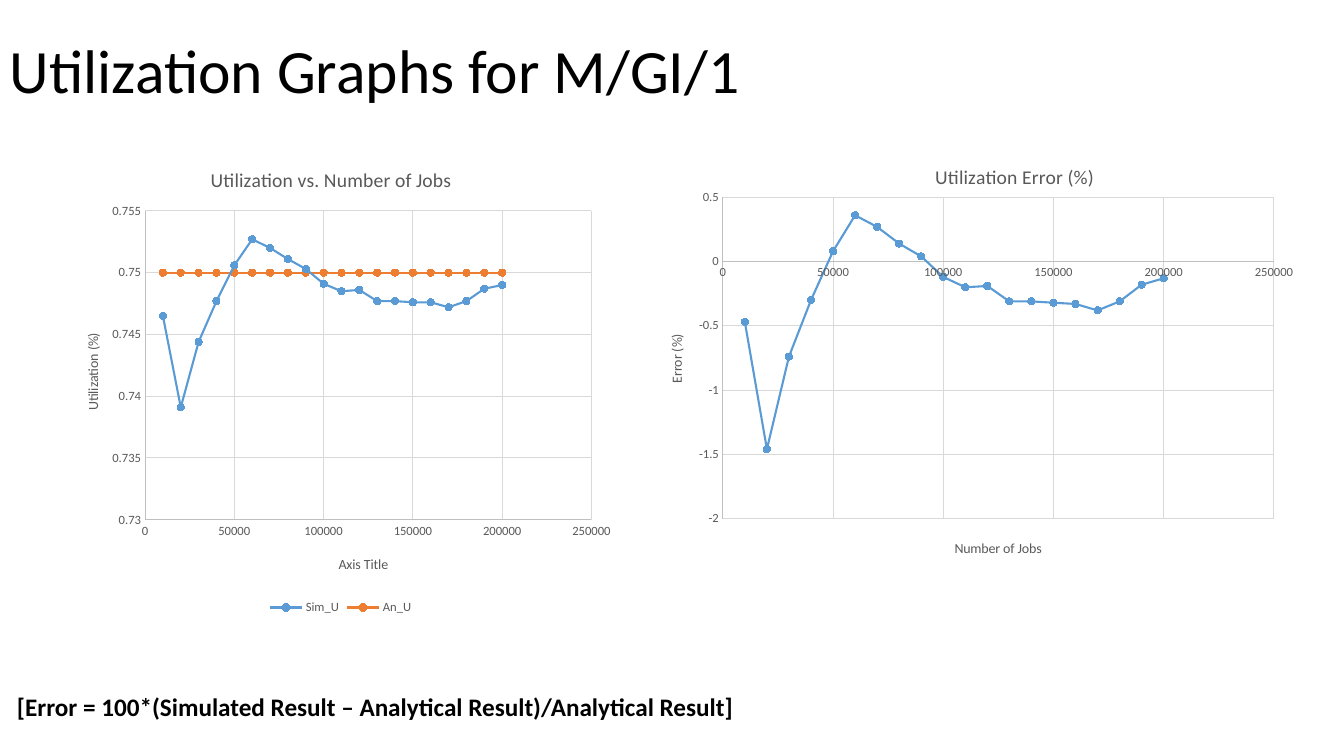
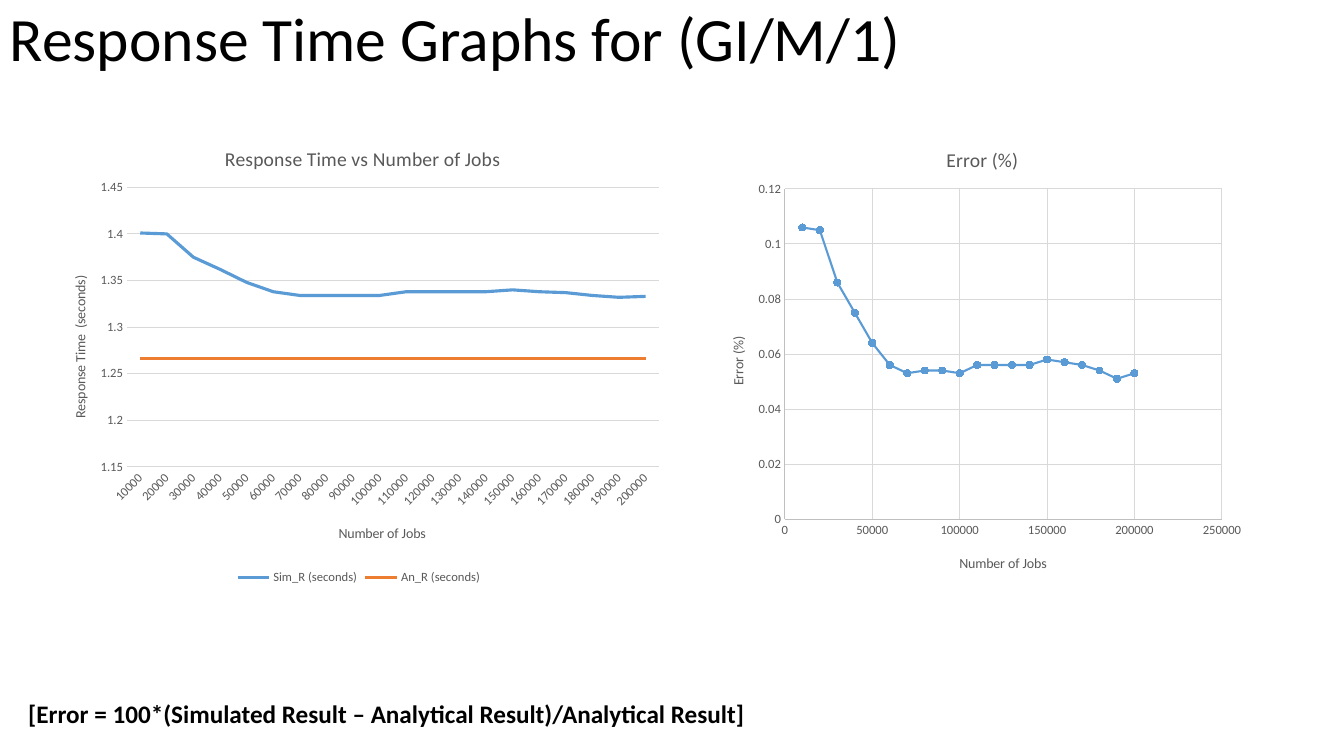
"""Build two slides of simulation charts with python-pptx."""
from dataclasses import dataclass

from lxml import etree
from pptx import Presentation
from pptx.chart.data import CategoryChartData, XyChartData
from pptx.dml.color import RGBColor
from pptx.enum.chart import XL_CHART_TYPE, XL_LEGEND_POSITION, XL_MARKER_STYLE, XL_TICK_MARK
from pptx.enum.text import MSO_ANCHOR, MSO_AUTO_SIZE
from pptx.oxml.ns import qn
from pptx.util import Pt

SCATTER = XL_CHART_TYPE.XY_SCATTER_LINES
LINE = XL_CHART_TYPE.LINE
BOTTOM = XL_LEGEND_POSITION.BOTTOM
CIRCLE = XL_MARKER_STYLE.CIRCLE
NO_TICK = XL_TICK_MARK.NONE
MIDDLE = MSO_ANCHOR.MIDDLE
GROW = MSO_AUTO_SIZE.SHAPE_TO_FIT_TEXT


@dataclass(frozen=True)
class Theme:
    """Colours, font and type sizes shared by the slides."""
    font: str = "Calibri"
    text: str = "000000"
    muted: str = "595959"
    axis: str = "BFBFBF"
    grid: str = "D9D9D9"
    series: tuple = ("5B9BD5", "ED7D31")
    title_size: int = 44
    note_size: int = 18
    chart_title_size: int = 14
    axis_title_size: int = 10
    label_size: int = 9
    hairline: float = 0.75


THEME = Theme()
ERROR_NOTE = "[Error = 100*(Simulated Result – Analytical Result)/Analytical Result]"
JOBS = range(10000, 200001, 10000)
JOB_SCALE = (0, 250000, 50000)

SIMULATED_UTILIZATION = (
    0.7465, 0.7391, 0.7444, 0.7477, 0.7506, 0.7527, 0.752, 0.7511, 0.7503, 0.7491,
    0.7485, 0.7486, 0.7477, 0.7477, 0.7476, 0.7476, 0.7472, 0.7477, 0.7487, 0.749)
UTILIZATION_ERROR = (
    -0.47, -1.46, -0.74, -0.3, 0.08, 0.36, 0.27, 0.14, 0.04, -0.12,
    -0.2, -0.19, -0.31, -0.31, -0.32, -0.33, -0.38, -0.31, -0.18, -0.13)
SIMULATED_RESPONSE = (
    1.401, 1.4, 1.375, 1.362, 1.348, 1.338, 1.334, 1.334, 1.334, 1.334,
    1.338, 1.338, 1.338, 1.338, 1.34, 1.338, 1.337, 1.334, 1.332, 1.333)
RESPONSE_ERROR = (
    0.106, 0.105, 0.086, 0.075, 0.064, 0.056, 0.053, 0.054, 0.054, 0.053,
    0.056, 0.056, 0.056, 0.056, 0.058, 0.057, 0.056, 0.054, 0.051, 0.053)


@dataclass(frozen=True)
class Label:
    """A chart or axis title and its top left corner on the slide."""
    text: str
    left: float
    top: float


@dataclass(frozen=True)
class Graph:
    """What one chart shows and where its parts stand on the slide."""
    kind: int
    frame: tuple
    plot: tuple
    title: Label
    job_title: Label
    value_title: Label
    value_scale: tuple
    series: dict
    legend: bool = False


def style_font(font, size, color, bold=False):
    """Set the typeface, size, colour and weight of a font."""
    font.name = THEME.font
    font.size = Pt(size)
    font.bold = bold
    font.color.rgb = RGBColor.from_string(color)


def style_line(line, color, width):
    """Give a line a solid colour and a width."""
    line.color.rgb = RGBColor.from_string(color)
    line.width = Pt(width)


def add_text(page, frame, text, size, bold=False):
    """Add a one-paragraph text box and return it."""
    box = page.shapes.add_textbox(*map(Pt, frame))
    box.text_frame.word_wrap = True
    para = box.text_frame.paragraphs[0]
    para.text = text
    style_font(para.font, size, THEME.text, bold)
    return box


def add_title(page, text, height):
    """Add the slide title at the top left."""
    box = add_text(page, (0, 0, 828, height), text, THEME.title_size)
    box.text_frame.vertical_anchor = MIDDLE
    box.text_frame.paragraphs[0].line_spacing = 0.9


def add_note(page, left, top):
    """Add the error formula at the foot of the slide."""
    box = add_text(page, (left, top, 677.5, 29), ERROR_NOTE, THEME.note_size, True)
    box.text_frame.auto_size = GROW


def place(element, frame, left, top, size=None):
    """Place a chart part by slide position, as fractions of the chart frame."""
    values = {"xMode": "edge", "yMode": "edge",
              "x": (left - frame[0]) / frame[2], "y": (top - frame[1]) / frame[3]}
    if size:
        values = {"layoutTarget": "inner", **values,
                  "w": size[0] / frame[2], "h": size[1] / frame[3]}
    layout = element.find(qn("c:layout"))
    if layout is None:
        layout = etree.Element(qn("c:layout"))
        element.insert(0, layout)
    manual = etree.SubElement(layout, qn("c:manualLayout"))
    for name, value in values.items():
        text = value if isinstance(value, str) else f"{value:.4f}"
        etree.SubElement(manual, qn(f"c:{name}")).set("val", text)


def set_label(title, label, size, frame):
    """Write, style and place a chart or axis title."""
    para = title.text_frame.paragraphs[0]
    para.text = label.text
    style_font(para.font, size, THEME.muted)
    place(title.element, frame, label.left, label.top)


def style_axis(axis, label, frame, grid, line_color, scale=None):
    """Set an axis's title, labels, gridlines, line and scale."""
    set_label(axis.axis_title, label, THEME.axis_title_size, frame)
    axis.major_tick_mark = axis.minor_tick_mark = NO_TICK
    style_font(axis.tick_labels.font, THEME.label_size, THEME.muted)
    axis.has_major_gridlines = grid
    if grid:
        style_line(axis.major_gridlines.format.line, THEME.grid, THEME.hairline)
    if line_color:
        style_line(axis.format.line, line_color, THEME.hairline)
    else:
        axis.format.line.fill.background()
    if scale:
        axis.minimum_scale, axis.maximum_scale, axis.major_unit = scale
        axis.tick_labels.number_format = "General"
        axis.tick_labels.number_format_is_linked = False


def chart_data(graph):
    """Return the chart data, with the job counts as x values or categories."""
    if graph.kind == LINE:
        data = CategoryChartData()
        data.categories = [str(count) for count in JOBS]
        for name, values in graph.series.items():
            data.add_series(name, values)
        return data
    data = XyChartData()
    for name, values in graph.series.items():
        points = data.add_series(name)
        for count, value in zip(JOBS, values):
            points.add_data_point(count, value)
    return data


def style_series(series, color, scatter):
    """Colour a series, with round markers on a scatter chart."""
    style_line(series.format.line, color, 1.5 if scatter else 2.25)
    if scatter:
        series.marker.style = CIRCLE
        series.marker.size = 5
        series.marker.format.fill.solid()
        series.marker.format.fill.fore_color.rgb = RGBColor.from_string(color)
        style_line(series.marker.format.line, color, THEME.hairline)
    else:
        series.smooth = False


def add_graph(page, graph):
    """Add a native line or scatter chart."""
    frame = graph.frame
    scatter = graph.kind == SCATTER
    chart = page.shapes.add_chart(graph.kind, *map(Pt, frame), chart_data(graph)).chart
    style_font(chart.font, THEME.axis_title_size, THEME.text)
    set_label(chart.chart_title, graph.title, THEME.chart_title_size, frame)
    chart.has_legend = graph.legend
    if graph.legend:
        chart.legend.position = BOTTOM
        chart.legend.include_in_layout = False
        style_font(chart.legend.font, THEME.label_size, THEME.muted)
    style_axis(chart.category_axis, graph.job_title, frame, scatter,
               THEME.axis if scatter else THEME.grid, JOB_SCALE if scatter else None)
    style_axis(chart.value_axis, graph.value_title, frame, True,
               THEME.axis if scatter else None, graph.value_scale)
    for body in chart.value_axis.axis_title.element.xpath(".//a:bodyPr"):
        body.set("rot", "-5400000")
    for body in chart.element.xpath(".//c:catAx/c:txPr/a:bodyPr"):
        body.set("rot", "-2700000")
    left, top, width, height = graph.plot
    place(chart.element.xpath("c:chart/c:plotArea")[0], frame, left, top, (width, height))
    chart.plots[0].vary_by_categories = False
    for series, color in zip(chart.plots[0].series, THEME.series):
        style_series(series, color, scatter)


def add_utilization_slide(deck):
    """Add the utilization slide."""
    page = deck.slides.add_slide(deck.slide_layouts[6])
    add_title(page, "Utilization Graphs for M/GI/1", 104.4)
    add_graph(page, Graph(
        SCATTER, (42.5, 103.7, 401.8, 338.4), (103.6, 150.7, 318.9, 220.7),
        Label("Utilization vs. Number of Jobs", 148, 116.5),
        Label("Axis Title", 240, 394.5), Label("Utilization (%)", 58, 236),
        (0.73, 0.755, 0.005),
        {"Sim_U": SIMULATED_UTILIZATION, "An_U": [0.75] * len(JOBS)}, legend=True))
    add_graph(page, Graph(
        SCATTER, (464.4, 104.4, 465.1, 295.9), (516.3, 141.4, 393.7, 231.8),
        Label("Utilization Error (%)", 665.5, 114.5),
        Label("Number of Jobs", 680, 386), Label("Error (%)", 475, 238.5),
        (-2, 0.5, 0.5), {"Series 1": UTILIZATION_ERROR}))
    add_note(page, 5, 490.3)


def add_response_slide(deck):
    """Add the response time slide."""
    page = deck.slides.add_slide(deck.slide_layouts[6])
    add_title(page, "Response Time Graphs for (GI/M/1)", 59.8)
    add_graph(page, Graph(
        LINE, (33.1, 87.1, 446.4, 333.4), (90.7, 133.8, 380, 199.8),
        Label("Response Time vs Number of Jobs", 158, 101.5),
        Label("Number of Jobs", 240, 372.5), Label("Response Time  (seconds)", 49, 195),
        (1.15, 1.45, 0.05),
        {"Sim_R (seconds)": SIMULATED_RESPONSE, "An_R (seconds)": [1.266] * len(JOBS)},
        legend=True))
    add_graph(page, Graph(
        SCATTER, (503.3, 87.1, 391.7, 333.4), (560.7, 135, 312.2, 235.8),
        Label("Error (%)", 673.5, 102),
        Label("Number of Jobs", 683.5, 394), Label("Error (%)", 519, 238.5),
        (0, 0.12, 0.02), {"Error (%)": RESPONSE_ERROR}))
    add_note(page, 13, 495.4)


def main():
    """Build the deck and save it."""
    deck = Presentation()
    deck.slide_width, deck.slide_height = Pt(960), Pt(540)
    add_utilization_slide(deck)
    add_response_slide(deck)
    deck.save("out.pptx")


if __name__ == "__main__":
    main()
